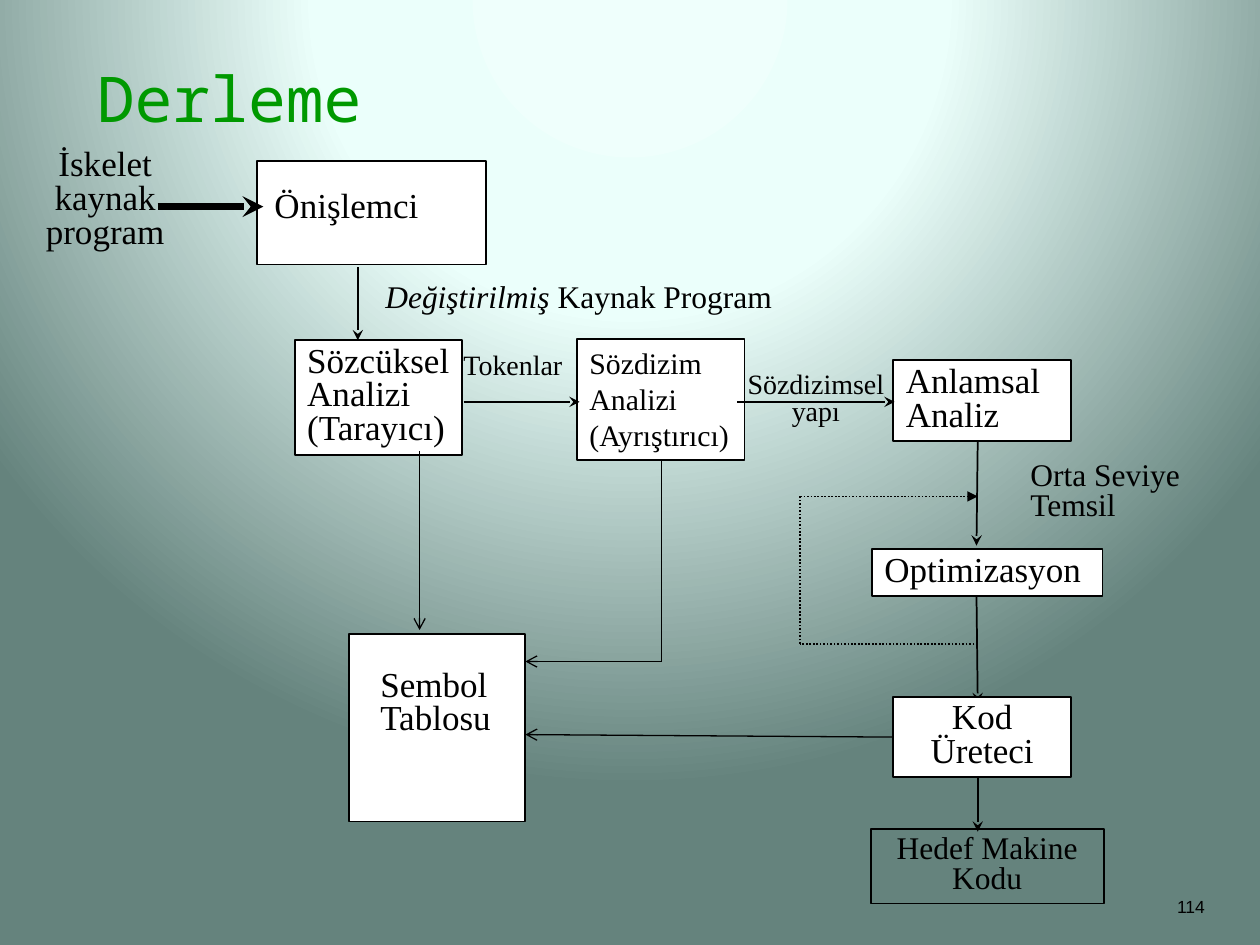
import lxml.etree
import pptx
import pptx.dml.color
import pptx.enum.dml
import pptx.enum.shapes
import pptx.enum.text
import pptx.oxml
import pptx.oxml.ns
import pptx.util

COLORS = {"ink": "000000", "paper": "FFFFFF", "title": "009900",
          "glow": "EFFFFC", "mist": "EBFFFB", "edge": "65837D"}
ALIGN = {"left": pptx.enum.text.PP_ALIGN.LEFT,
         "center": pptx.enum.text.PP_ALIGN.CENTER,
         "right": pptx.enum.text.PP_ALIGN.RIGHT}
SERIF = "Times New Roman"
COLS, ROWS = 100, 75


def color(name):
    return pptx.dml.color.RGBColor.from_string(COLORS[name])


class Board:
    """Draws on one slide, with lengths in columns and rows of the grid."""

    def __init__(self, deck):
        self.slide = deck.slides.add_slide(deck.slide_layouts[6])
        self.col = deck.slide_width / COLS
        self.row = deck.slide_height / ROWS

    def scale(self, x, y):
        return round(x * self.col), round(y * self.row)

    def place(self, area):
        return *self.scale(*area[:2]), *self.scale(*area[2:])

    def glow(self, stops):
        """Fills the background with a round gradient centred above the slide."""
        self.slide.background.fill.gradient()
        grad = self.slide.element.xpath(".//p:bgPr/a:gradFill")[0]
        marks = "".join(f'<a:gs pos="{share * 1000}"><a:srgbClr val="{COLORS[name]}"/></a:gs>'
                        for share, name in stops)
        space = pptx.oxml.ns.nsdecls("a")
        fresh = pptx.oxml.parse_xml(
            f'<a:gradFill {space} rotWithShape="0"><a:gsLst>{marks}</a:gsLst>'
            '<a:path path="circle"><a:fillToRect l="50000" t="-80000" r="50000" b="180000"/>'
            '</a:path></a:gradFill>')
        grad.getparent().replace(grad, fresh)

    def letter(self, shape, runs, size, align="left", lead=0.8, font=SERIF,
               ink="ink", anchor="TOP"):
        """Sets runs of (words, italic) as one paragraph."""
        frame = shape.text_frame
        frame.word_wrap = True
        frame.vertical_anchor = pptx.enum.text.MSO_ANCHOR[anchor]
        para = frame.paragraphs[0]
        para.alignment = ALIGN[align]
        para.line_spacing = lead
        for words, slant in runs:
            run = para.add_run()
            run.text = words
            run.font.name = font
            run.font.size = pptx.util.Pt(size)
            run.font.italic = slant
            run.font.color.rgb = color(ink)

    def label(self, area, words, size, **style):
        runs = [(words, False)] if isinstance(words, str) else words
        self.letter(self.slide.shapes.add_textbox(*self.place(area)), runs, size, **style)

    def box(self, area, words="", size=20, fill="paper", **style):
        kind = pptx.enum.shapes.MSO_SHAPE.RECTANGLE
        shape = self.slide.shapes.add_shape(kind, *self.place(area))
        shape.shadow.inherit = False
        if fill:
            shape.fill.solid()
            shape.fill.fore_color.rgb = color(fill)
        else:
            shape.fill.background()
        shape.line.color.rgb = color("ink")
        shape.line.width = pptx.util.Pt(1)
        if words:
            self.letter(shape, [(words, False)], size, **style)

    def line(self, start, end, width=1, tip="stealth", dots=False):
        kind = pptx.enum.shapes.MSO_CONNECTOR.STRAIGHT
        link = self.slide.shapes.add_connector(kind, *self.scale(*start), *self.scale(*end))
        link.line.color.rgb = color("ink")
        link.line.width = pptx.util.Pt(width)
        if dots:
            link.line.dash_style = pptx.enum.dml.MSO_LINE.ROUND_DOT
        props = link.element.spPr
        if tip:
            stroke = props.find(pptx.oxml.ns.qn("a:ln"))
            lxml.etree.SubElement(stroke, pptx.oxml.ns.qn("a:tailEnd"), type=tip)
        lxml.etree.SubElement(props, pptx.oxml.ns.qn("a:effectLst"))

    def trail(self, points, tip, **style):
        """Joins points by straight lines, with the tip on the last one."""
        for start, end in zip(points, points[1:]):
            self.line(start, end, tip=tip if end == points[-1] else None, **style)


def main():
    deck = pptx.Presentation()
    deck.slide_width = pptx.util.Inches(10)
    deck.slide_height = pptx.util.Inches(7.5)
    board = Board(deck)
    board.glow([(0, "glow"), (40, "mist"), (100, "edge")])

    board.label((6.7, 4.2, 89.2, 12.5), "Derleme", 36, lead=1,
                font="Noto Sans Mono", ink="title")
    board.label((75.8, 68.3, 20.8, 5), "114", 10, align="right", lead=1,
                font="Arial", anchor="BOTTOM")

    # Stages
    board.box((20.4, 12.8, 18.2, 8.2))
    board.box((23.4, 27, 13.3, 9.1), "Sözcüksel Analizi (Tarayıcı)")
    board.box((45.8, 26.9, 13.3, 9.6), "Sözdizim Analizi (Ayrıştırıcı)", 17, lead=1)
    board.box((70.9, 28.6, 14.1, 6.4), "Anlamsal Analiz")
    board.box((69.2, 43.6, 18.3, 3.7), "Optimizasyon")
    board.line((77.5, 47.3), (77.6, 55.8))
    board.box((70.9, 55.3, 14.1, 6.4), "Kod Üreteci", align="center")
    board.box((69.1, 65.8, 18.5, 5.9), "Hedef Makine Kodu", 18, fill=None, align="center")
    board.box((27.7, 50.3, 14, 14.9))

    # Labels
    board.label((20.8, 14.7, 17.5, 3.7), "Önişlemci", 20)
    board.label((29.2, 52.7, 11, 6.4), "Sembol Tablosu", 20)
    board.label((1.7, 11.4, 13.3, 9.1), "İskelet kaynak program", 20, align="center")
    board.label((29.6, 22.1, 32.9, 3.4),
                [("Değiştirilmiş", True), (" Kaynak Program", False)], 18)
    board.label((35.8, 27.6, 12.8, 3.2), "Tokenlar", 16)
    board.label((57.5, 29.1, 14.5, 5.3), "Sözdizimsel yapı", 16, align="center")
    board.label((80.8, 36.2, 17.8, 5.9), "Orta Seviye Temsil", 18)

    # Flow from stage to stage
    board.line((12.5, 16.4), (20.9, 16.4), width=4)
    for start, end in [((28.4, 21.2), (28.4, 27)), ((36.8, 31.9), (46, 31.9)),
                       ((58.5, 31.9), (71, 31.9)), ((77.6, 35), (77.5, 43.3)),
                       ((77.6, 61.7), (77.6, 66))]:
        board.line(start, end)

    # Optimization loop
    board.trail([(77.6, 51.1), (63.5, 51.1), (63.5, 39.4), (77.6, 39.4)],
                "triangle", dots=True)

    # Links to the symbol table
    for points in [[(33.3, 35.8), (33.3, 50)], [(70.9, 58.5), (41.7, 58.3)],
                   [(52.5, 36.5), (52.5, 52.5), (41.7, 52.5)]]:
        board.trail(points, "arrow", width=0.75)

    deck.save("out.pptx")


if __name__ == "__main__":
    main()
